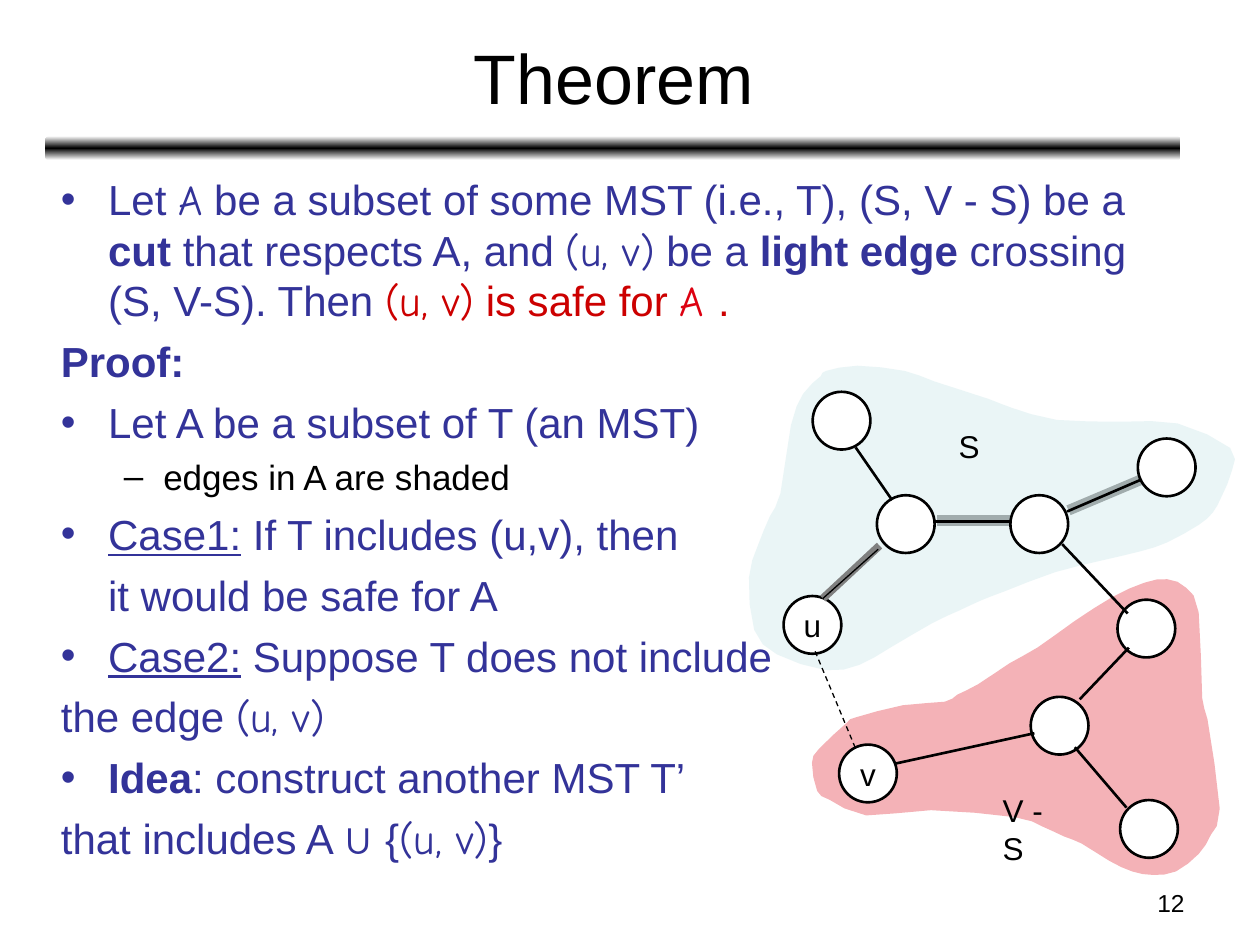
from copy import deepcopy

from lxml import etree
from pptx import Presentation
from pptx.dml.color import RGBColor
from pptx.enum.dml import MSO_LINE
from pptx.enum.shapes import MSO_CONNECTOR, MSO_SHAPE
from pptx.enum.text import MSO_ANCHOR, MSO_AUTO_SIZE, PP_ALIGN
from pptx.oxml.ns import qn
from pptx.util import Pt

STRAIGHT = MSO_CONNECTOR.STRAIGHT
OVAL, ROUNDED = MSO_SHAPE.OVAL, MSO_SHAPE.ROUNDED_RECTANGLE
LEFT, CENTER, RIGHT = PP_ALIGN.LEFT, PP_ALIGN.CENTER, PP_ALIGN.RIGHT
TOP, MIDDLE = MSO_ANCHOR.TOP, MSO_ANCHOR.MIDDLE
GROW = MSO_AUTO_SIZE.SHAPE_TO_FIT_TEXT
DASH = MSO_LINE.DASH

COLORS = {
    "black": "000000", "white": "FFFFFF", "body": "333399", "claim": "CC0000",
    "red": "DD0111", "teal": "BBE0E3", "shade": "969696", "dark_shade": "808080",
}
MATH = {"font": "Comic Neue"}
BOLD = {"bold": True}
UNDERLINE = {"underline": True}
CLAIM = {"color": "claim"}

NODE_SIZE = 33
NODES = [
    (447.8, 340.6, "u"), (501.1, 283, ""), (577.4, 283, ""), (650.2, 250.6, ""),
    (638.6, 342.7, ""), (464.4, 223.9, ""), (589, 398.2, ""), (640.1, 457.2, ""),
    (479.5, 425.5, "v"),
]
SHADED_EDGES = [(535.7, 297.4, 577.4, 297.4), (610.6, 291.6, 651.6, 274.3)]
EDGES = [
    (534.2, 298.1, 577.4, 298.1), (488.9, 255.6, 509.8, 285.8),
    (609.8, 292.3, 651.6, 274.3), (607, 311, 644.4, 350.6),
    (511.9, 436.3, 591.1, 419), (617, 399.6, 645.1, 370.1),
    (614.2, 427, 643.7, 461.5),
]
REGION_S = [
    (469, 215), (459, 225), (452, 243), (446, 282), (440, 295), (433, 312), (428, 330),
    (431, 360), (444, 374), (472, 383), (491, 380), (509, 370), (533, 356), (548, 349),
    (561, 343), (574, 338), (603, 327), (631, 320), (652, 315), (667, 310), (685, 300),
    (693, 293), (698, 284), (704, 269), (703, 256), (673, 242), (642, 241), (604, 240),
    (578, 233), (565, 228), (534, 218), (517, 212), (490, 209), (472, 212),
]
REGION_V_MINUS_S = [
    (540, 401), (516, 403), (489, 410), (484, 413), (468, 428), (464, 436), (467, 452),
    (474, 457), (495, 466), (532, 463), (580, 467), (595, 472), (608, 478), (618, 482),
    (634, 492), (647, 498), (659, 500), (672, 498), (685, 488), (692, 477), (697, 462),
    (690, 411), (687, 399), (685, 350), (678, 336), (667, 331), (654, 333), (636, 341),
    (614, 355), (593, 370), (577, 379), (559, 391), (547, 397),
]
ITEM = {"margin": 27, "indent": -27, "bullet": "•"}
PLAIN = {"margin": 27, "indent": -27}
CONTINUED = {"margin": 27}
SUBITEM = {"margin": 58.5, "indent": -22.5, "bullet": "–", "before": 5,
           "size": 20, "color": "black", "level": 1}
BODY = [
    (ITEM, [("Let ", {}), ("A", MATH),
            (" be a subset of some MST (i.e., T), (S, V - S) be a ", {}), ("cut", BOLD),
            (" that respects A, and ", {}), ("(u, v)", MATH), (" be a ", {}),
            ("light edge", BOLD), (" crossing (S, V-S). Then ", {}),
            ("(u, v)", {**MATH, **CLAIM}), (" is safe for ", CLAIM),
            ("A ", {**MATH, "color": "red"}), (".", CLAIM)]),
    (PLAIN, [("Proof:", BOLD)]),
    (ITEM, [("Let A be a subset of T (an MST)", {})]),
    (SUBITEM, [("edges in A are shaded", {})]),
    (ITEM, [("Case1:", UNDERLINE), (" If T includes (u,v), then", {})]),
    (CONTINUED, [("it would be safe for A", {})]),
    (ITEM, [("Case2:", UNDERLINE), (" Suppose T does not include", {})]),
    (PLAIN, [("the edge ", {}), ("(u, v)", MATH)]),
    (ITEM, [("Idea", BOLD), (": construct another MST T’", {})]),
    (PLAIN, [("that includes A ∪ {", {}), ("(u, v)", MATH), ("}", {})]),
]


def rgb(name):
    return RGBColor.from_string(COLORS[name])


def write(paragraph, text, font="Arial", size=18, color="black", bold=False, underline=False):
    run = paragraph.add_run()
    run.text = text
    run.font.name = font
    run.font.size = Pt(size)
    run.font.color.rgb = rgb(color)
    run.font.bold = bold
    run.font.underline = underline


def add_text_box(slide, left, top, width, height, anchor=TOP, wrap=True):
    box = slide.shapes.add_textbox(Pt(left), Pt(top), Pt(width), Pt(height))
    box.text_frame.word_wrap = wrap
    box.text_frame.vertical_anchor = anchor
    if not wrap:
        box.text_frame.auto_size = GROW
    return box.text_frame


def add_label(slide, text, *bounds, align=LEFT, anchor=TOP, wrap=True, **text_format):
    paragraph = add_text_box(slide, *bounds, anchor=anchor, wrap=wrap).paragraphs[0]
    paragraph.alignment = align
    write(paragraph, text, **text_format)


def format_paragraph(paragraph, color, margin=0, indent=0, bullet=None, level=0):
    paragraph.level = level
    properties = paragraph._p.get_or_add_pPr()
    properties.set("marL", str(Pt(margin)))
    properties.set("indent", str(Pt(indent)))
    if bullet:
        bullet_color = etree.SubElement(properties, qn("a:buClr"))
        etree.SubElement(bullet_color, qn("a:srgbClr"), val=COLORS[color])
        etree.SubElement(properties, qn("a:buFont"), typeface="Arial")
        etree.SubElement(properties, qn("a:buChar"), char=bullet)
    else:
        etree.SubElement(properties, qn("a:buNone"))


def add_body(slide):
    frame = add_text_box(slide, 27.7, 95.8, 650, 399.6)
    for index, (style, runs) in enumerate(BODY):
        layout = dict(style)
        size = layout.pop("size", 24)
        color = layout.pop("color", "body")
        before = layout.pop("before", 6)
        paragraph = frame.add_paragraph() if index else frame.paragraphs[0]
        format_paragraph(paragraph, color, **layout)
        if index:
            paragraph.space_before = Pt(before)
        for text, text_format in runs:
            write(paragraph, text, **{"size": size, "color": color, **text_format})


def add_title_bar(slide):
    bar = slide.shapes.add_shape(ROUNDED, Pt(25.9), Pt(77.8), Pt(648.7), Pt(13.7))
    bar.shadow.inherit = False
    bar.line.fill.background()
    bar.fill.gradient()
    bar.fill.gradient_angle = 90
    stop_list = bar._element.spPr.find(".//" + qn("a:gsLst"))
    stop_list.append(deepcopy(stop_list[0]))
    for index, (stop, color) in enumerate(zip(bar.fill.gradient_stops, ("white", "black", "white"))):
        stop.position = index / 2
        stop.color.rgb = rgb(color)


def smooth_outline(points):
    count = len(points)
    for index in range(count):
        a, b, c, d = (points[(index + offset) % count] for offset in (-1, 0, 1, 2))
        yield tuple(Pt(value) for value in b)
        yield tuple(Pt((9 * (q + r) - p - s) / 16) for p, q, r, s in zip(a, b, c, d))


def add_region(slide, points, color):
    outline = list(smooth_outline(points))
    builder = slide.shapes.build_freeform(*outline[0])
    builder.add_line_segments(outline[1:], close=True)
    region = builder.convert_to_shape()
    region.shadow.inherit = False
    region.line.fill.background()
    region.fill.solid()
    region.fill.fore_color.rgb = rgb(color)
    color_element = region._element.spPr.find(".//" + qn("a:srgbClr"))
    etree.SubElement(color_element, qn("a:alpha"), val="30000")


def add_node(slide, left, top, name):
    node = slide.shapes.add_shape(OVAL, Pt(left), Pt(top), Pt(NODE_SIZE), Pt(NODE_SIZE))
    node.shadow.inherit = False
    node.fill.solid()
    node.fill.fore_color.rgb = rgb("white")
    node.line.color.rgb = rgb("black")
    node.line.width = Pt(1.5)
    if name:
        node.text_frame.word_wrap = False
        node.text_frame.vertical_anchor = MIDDLE
        paragraph = node.text_frame.paragraphs[0]
        paragraph.alignment = CENTER
        write(paragraph, name)


def add_edge(slide, *ends, color="black", width=1.5, dash=None):
    edge = slide.shapes.add_connector(STRAIGHT, *(Pt(value) for value in ends))
    edge.line.color.rgb = rgb(color)
    edge.line.width = Pt(width)
    if dash:
        edge.line.dash_style = dash
    etree.SubElement(edge._element.spPr, qn("a:effectLst"))


def add_graph(slide):
    add_region(slide, REGION_V_MINUS_S, "red")
    for ends in SHADED_EDGES:
        add_edge(slide, *ends, color="shade", width=6)
    add_region(slide, REGION_S, "teal")
    for node in NODES:
        add_node(slide, *node)
    for ends in EDGES:
        add_edge(slide, *ends)
    add_label(slide, "S", 540.7, 240.5, 25.9, 28.8, wrap=False)
    add_label(slide, "V - S", 565.9, 448.6, 54, 28.8, wrap=False)
    add_edge(slide, 465.8, 372.2, 488.9, 427.7, width=0.75, dash=DASH)
    add_edge(slide, 502.6, 311.8, 470.2, 342, color="dark_shade", width=4.5)
    add_edge(slide, 470.2, 342, 501.8, 313.9, width=0.75)


def main():
    presentation = Presentation()
    presentation.slide_width, presentation.slide_height = Pt(720), Pt(540)
    slide = presentation.slides.add_slide(presentation.slide_layouts[6])
    add_title_bar(slide)
    add_label(slide, "12", 516.2, 504, 167.8, 25.2, align=RIGHT, size=14)
    add_label(slide, "Theorem", 26.8, 7.9, 648, 71.3, align=CENTER, anchor=MIDDLE, size=40)
    add_body(slide)
    add_graph(slide)
    presentation.save("out.pptx")


if __name__ == "__main__":
    main()
